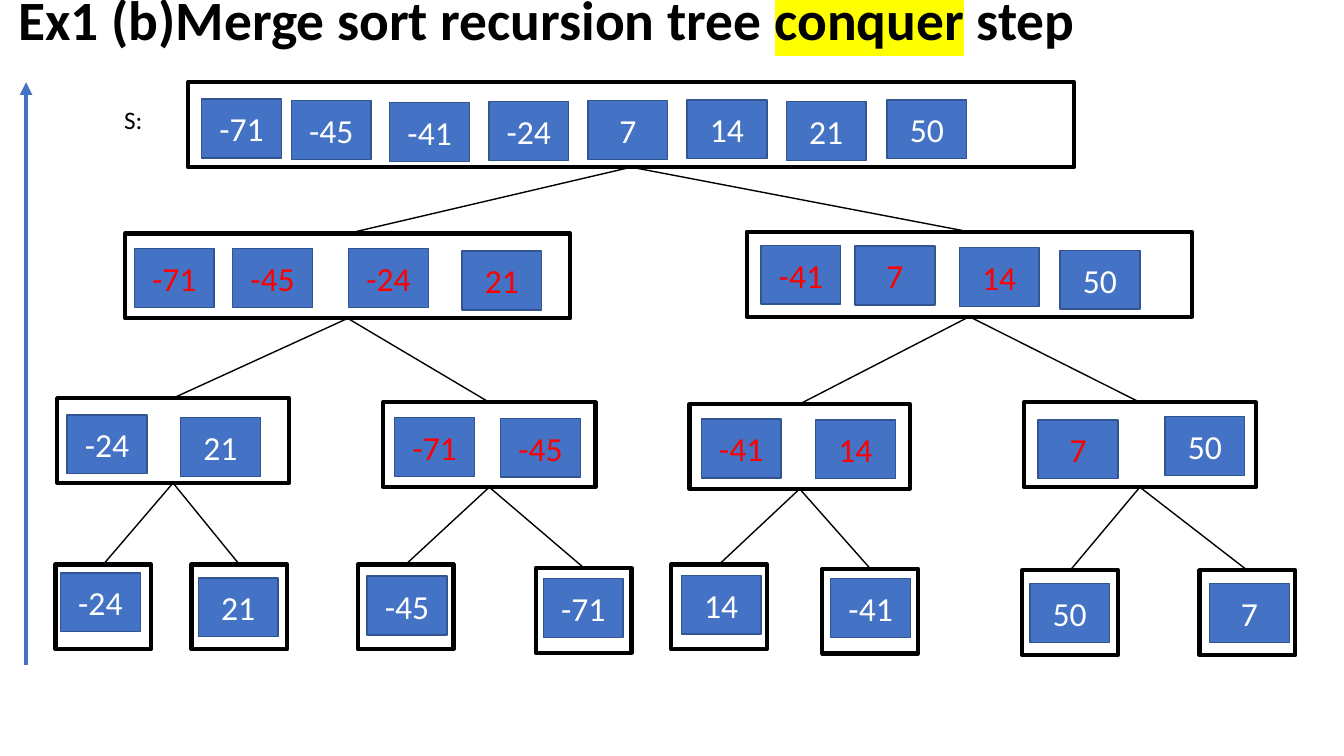
"""Build the merge sort conquer-step slide."""
from dataclasses import dataclass

from lxml import etree
from pptx import Presentation
from pptx.dml.color import RGBColor
from pptx.enum.shapes import MSO_CONNECTOR, MSO_SHAPE
from pptx.enum.text import MSO_ANCHOR, MSO_AUTO_SIZE, PP_ALIGN
from pptx.oxml.ns import qn
from pptx.util import Inches, Pt

RECTANGLE = MSO_SHAPE.RECTANGLE
STRAIGHT = MSO_CONNECTOR.STRAIGHT
MIDDLE = MSO_ANCHOR.MIDDLE
LEFT, CENTER = PP_ALIGN.LEFT, PP_ALIGN.CENTER
NO_FIT = MSO_AUTO_SIZE.NONE
TITLE_ONLY = 5

SLIDE_WIDTH, SLIDE_HEIGHT = Inches(13.33), Inches(7.5)
COLUMN, ROW = SLIDE_WIDTH / 16, SLIDE_HEIGHT / 9
BOX_HEIGHT, LEAF_WIDTH = 1.01, 1.14
NUMBER_WIDTH, NUMBER_HEIGHT = 0.95, 0.7


@dataclass(frozen=True)
class Theme:
    """Colours, font and sizes used on the slide."""
    font: str = "Calibri"
    ink: str = "000000"
    blue: str = "4472C4"
    blue_edge: str = "325491"
    white: str = "FFFFFF"
    red: str = "FF0000"
    highlight: str = "FFFF00"
    title_size: float = 39.6
    label_size: float = 18
    number_size: float = 24
    thick: float = 3
    thin: float = 1


THEME = Theme()


@dataclass(frozen=True)
class Number:
    """A sorted value with its grid position."""
    value: int
    left: float
    top: float
    color: str = THEME.white


@dataclass(frozen=True)
class Node:
    """A box of the recursion tree with its numbers and children."""
    left: float
    top: float
    width: float
    numbers: tuple
    children: tuple = ()

    @property
    def center(self):
        """Return the column of the box's middle."""
        return self.left + self.width / 2


def row_of(*entries):
    """Return white numbers from (value, left, top) entries."""
    return tuple(Number(*entry) for entry in entries)


def red_row(*entries):
    """Return red numbers from (value, left, top) entries."""
    return tuple(Number(*entry, THEME.red) for entry in entries)


def leaf(left, top, value, number_left, number_top):
    """Return a node that holds a single number."""
    return Node(left, top, LEAF_WIDTH, row_of((value, number_left, number_top)))


LEFT_HALF = Node(
    1.49, 2.78, 5.3,
    red_row((-71, 1.6, 2.96), (-45, 2.77, 2.96), (-24, 4.15, 2.96), (21, 5.5, 2.99)),
    (
        Node(0.68, 4.74, 2.76, row_of((-24, 0.8, 4.94), (21, 2.15, 4.97)),
             (leaf(0.66, 6.72, -24, 0.72, 6.82), leaf(2.28, 6.72, 21, 2.36, 6.88))),
        Node(4.56, 4.79, 2.53, red_row((-71, 4.7, 4.97), (-45, 5.96, 4.98)),
             (leaf(4.26, 6.72, -45, 4.37, 6.86), leaf(6.38, 6.76, -71, 6.47, 6.89))),
    ),
)
RIGHT_HALF = Node(
    8.89, 2.76, 5.3,
    red_row((-41, 9.06, 2.92), (7, 10.18, 2.93), (14, 11.42, 2.95))
    + row_of((50, 12.62, 2.98)),
    (
        Node(8.21, 4.81, 2.62, red_row((-41, 8.35, 4.99), (14, 9.71, 5)),
             (leaf(7.99, 6.72, 14, 8.11, 6.85), leaf(9.79, 6.77, -41, 9.89, 6.89))),
        Node(12.19, 4.79, 2.76, red_row((7, 12.36, 5)) + row_of((50, 13.87, 4.96)),
             (leaf(12.17, 6.79, 50, 12.26, 6.95), leaf(14.28, 6.79, 7, 14.4, 6.95))),
    ),
)
TREE = Node(
    2.24, 0.98, 10.55,
    row_of((-71, 2.4, 1.18), (-45, 3.47, 1.2), (-41, 4.64, 1.22), (-24, 5.82, 1.21),
           (7, 7, 1.2), (14, 8.18, 1.19), (21, 9.36, 1.21), (50, 10.56, 1.19)),
    (LEFT_HALF, RIGHT_HALF),
)


def grid(left, top, width, height):
    """Convert a grid rectangle to slide lengths."""
    return (round(left * COLUMN), round(top * ROW),
            round(width * COLUMN), round(height * ROW))


def add_run(paragraph, text, size, color=THEME.ink, bold=False, highlight=None):
    """Append one formatted run to a paragraph."""
    run = paragraph.add_run()
    run.text = text
    run.font.name = THEME.font
    run.font.size = Pt(size)
    run.font.bold = bold
    run.font.color.rgb = RGBColor.from_string(color)
    if highlight:
        mark = etree.Element(qn("a:highlight"))
        etree.SubElement(mark, qn("a:srgbClr"), val=highlight)
        run.font.fill._xPr.find(qn("a:solidFill")).addnext(mark)


def add_title(slide):
    """Fill and place the title placeholder."""
    title = slide.shapes.title
    title.left, title.top, title.width, title.height = grid(0.1, -0.02, 13.34, 0.58)
    frame = title.text_frame
    frame.auto_size = NO_FIT
    frame.vertical_anchor = MIDDLE
    paragraph = frame.paragraphs[0]
    paragraph.alignment = LEFT
    paragraph.line_spacing = 0.9
    for text, highlight in (("Ex1 (b)Merge sort recursion tree ", None),
                            ("conquer", THEME.highlight), (" step", None)):
        add_run(paragraph, text, THEME.title_size, bold=True, highlight=highlight)


def add_label(slide, text, *place):
    """Add a plain text label."""
    frame = slide.shapes.add_textbox(*grid(*place)).text_frame
    frame.word_wrap = True
    add_run(frame.paragraphs[0], text, THEME.label_size)


def add_rectangle(slide, place, line_color, line_width, fill=None):
    """Add a rectangle, hollow unless a fill is given."""
    shape = slide.shapes.add_shape(RECTANGLE, *grid(*place))
    shape.shadow.inherit = False
    shape.line.color.rgb = RGBColor.from_string(line_color)
    shape.line.width = Pt(line_width)
    if fill:
        shape.fill.solid()
        shape.fill.fore_color.rgb = RGBColor.from_string(fill)
    else:
        shape.fill.background()
    return shape


def add_line(slide, start, end, color=THEME.ink, width=THEME.thin, arrow=False):
    """Add a straight line between two grid points."""
    connector = slide.shapes.add_connector(STRAIGHT, *grid(*start, *end))
    connector.line.color.rgb = RGBColor.from_string(color)
    connector.line.width = Pt(width)
    if arrow:
        etree.SubElement(connector.line._get_or_add_ln(), qn("a:tailEnd"), type="triangle")
    etree.SubElement(connector._element.spPr, qn("a:effectLst"))


def add_number(slide, number):
    """Add a blue block with its value."""
    place = (number.left, number.top, NUMBER_WIDTH, NUMBER_HEIGHT)
    shape = add_rectangle(slide, place, THEME.blue_edge, THEME.thin, THEME.blue)
    shape.text_frame.vertical_anchor = MIDDLE
    paragraph = shape.text_frame.paragraphs[0]
    paragraph.alignment = CENTER
    add_run(paragraph, str(number.value), THEME.number_size, number.color)


def add_node(slide, node):
    """Add a tree box, its numbers and, recursively, its children."""
    add_rectangle(slide, (node.left, node.top, node.width, BOX_HEIGHT), THEME.ink, THEME.thick)
    for number in node.numbers:
        add_number(slide, number)
    for child in node.children:
        add_line(slide, (node.center, node.top + BOX_HEIGHT), (child.center, child.top))
        add_node(slide, child)


def main():
    """Build and save the presentation."""
    presentation = Presentation()
    presentation.slide_width, presentation.slide_height = SLIDE_WIDTH, SLIDE_HEIGHT
    slide = presentation.slides.add_slide(presentation.slide_layouts[TITLE_ONLY])
    add_title(slide)
    add_label(slide, "S:", 1.36, 1.18, 0.77, 0.48)
    add_line(slide, (0.31, 7.92), (0.31, 0.98), THEME.blue, THEME.thick, arrow=True)
    add_node(slide, TREE)
    presentation.save("out.pptx")


if __name__ == "__main__":
    main()
